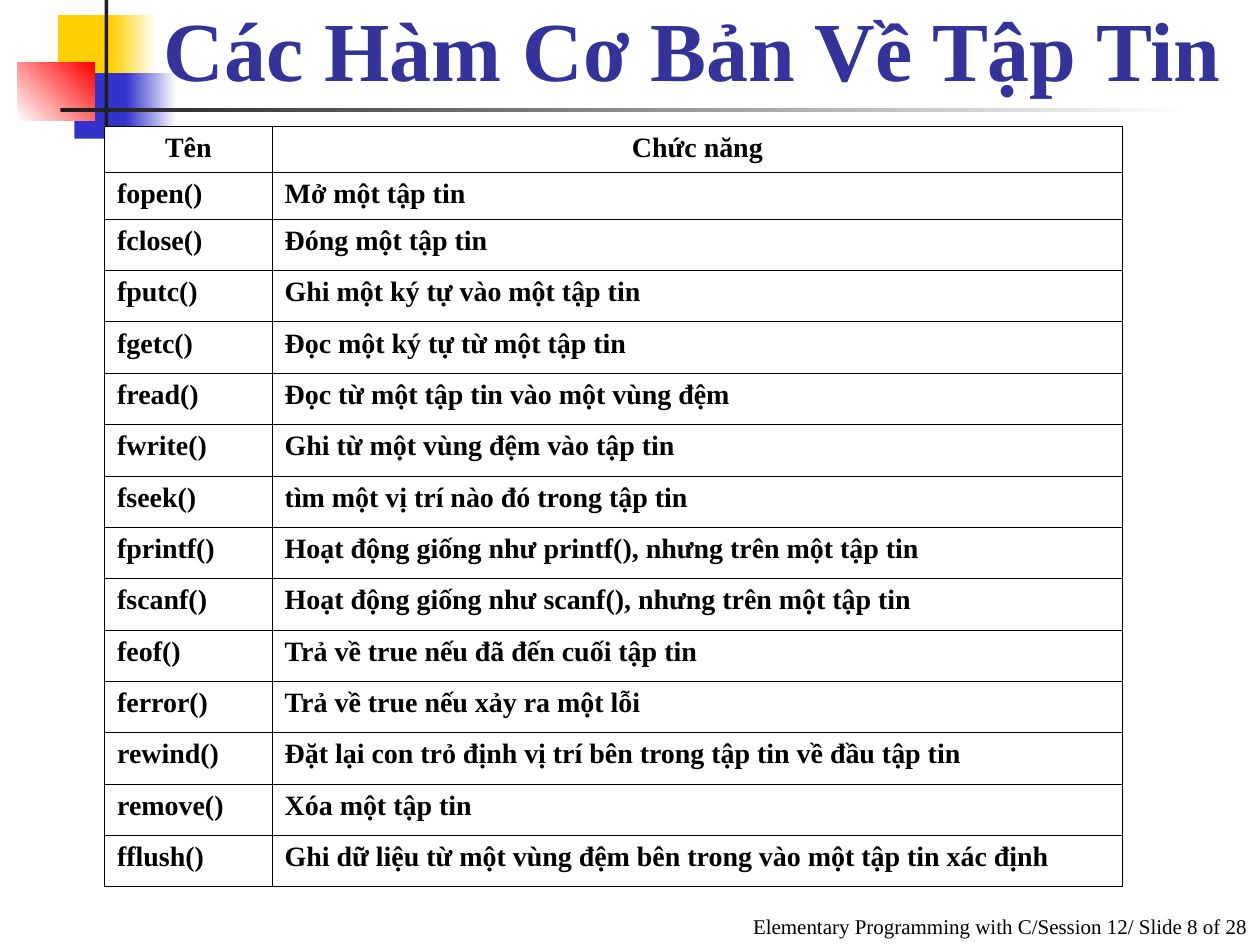
from lxml.etree import SubElement as Sub
from pptx import Presentation
from pptx.dml.color import RGBColor as RGB
from pptx.enum.shapes import MSO_SHAPE as Shape
from pptx.enum.text import MSO_ANCHOR as Anchor, PP_ALIGN as Align
from pptx.oxml.ns import qn
from pptx.util import Inches, Pt

FONT = "Times New Roman"
BLACK, WHITE = "000000", "FFFFFF"
GOLD, BLUE, RED, DARK = "FFCF01", "3333CC", "FF0000", "1C1C1C"

BLOCKS = [
    (0.32, 0.12, 0.48, 0.52, GOLD),
    (0.74, 0.12, 0.36, 0.52, GOLD, WHITE, 0),
    (0.45, 0.58, 0.46, 0.52, BLUE),
    (0.86, 0.58, 0.4, 0.52, BLUE, WHITE, 0),
    (0, 0.5, 0.61, 0.46, WHITE, RED, 45),
    (0.69, 0, 0.03, 1.15, DARK),
    (0.34, 0.86, 9, 0.03, DARK, WHITE, 0),
]

ROWS = [
    ("Tên", "Chức năng"),
    ("fopen()", "Mở một tập tin"),
    ("fclose()", "Đóng một tập tin"),
    ("fputc()", "Ghi một ký tự vào một tập tin"),
    ("fgetc()", "Đọc một ký tự từ một tập tin"),
    ("fread()", "Đọc từ một tập tin vào một vùng đệm"),
    ("fwrite()", "Ghi từ một vùng đệm vào tập tin"),
    ("fseek()", "tìm một vị trí nào đó trong tập tin"),
    ("fprintf()", "Hoạt động giống như printf(), nhưng trên một tập tin"),
    ("fscanf()", "Hoạt động giống như scanf(), nhưng trên một tập tin"),
    ("feof()", "Trả về true nếu đã đến cuối tập tin"),
    ("ferror()", "Trả về true nếu xảy ra một lỗi"),
    ("rewind()", "Đặt lại con trỏ định vị trí bên trong tập tin về đầu tập tin"),
    ("remove()", "Xóa một tập tin"),
    ("fflush()", "Ghi dữ liệu từ một vùng đệm bên trong vào một tập tin xác định"),
]


def paint(color, tone):
    color.rgb = RGB.from_string(tone)


def write(frame, text, size=16, tone=BLACK, bold=True, align=Align.LEFT):
    para = frame.paragraphs[0]
    para.alignment = align
    run = para.add_run()
    run.text = text
    font = run.font
    font.name, font.size, font.bold = FONT, Pt(size), bold
    paint(font.color, tone)


def add_block(slide, left, top, width, height, tone, end=None, angle=0):
    block = slide.shapes.add_shape(
        Shape.RECTANGLE, Inches(left), Inches(top), Inches(width), Inches(height))
    block.shadow.inherit = False
    block.line.fill.background()
    if end is None:
        block.fill.solid()
        paint(block.fill.fore_color, tone)
        return
    block.fill.gradient()
    block.fill.gradient_angle = angle
    for stop, hue, place in zip(block.fill.gradient_stops, (tone, end), (0, 1)):
        paint(stop.color, hue)
        stop.position = place


def add_art(slide, left, top):
    for x, y, *rest in BLOCKS:
        add_block(slide, left + x, top + y, *rest)


def add_label(slide, box, text, **style):
    frame = slide.shapes.add_textbox(*map(Inches, box)).text_frame
    frame.word_wrap = True
    frame.vertical_anchor = Anchor.BOTTOM
    write(frame, text, **style)


def add_edges(cell, tone=BLACK, width=0.45):
    props = cell._tc.get_or_add_tcPr()
    for side in ("lnL", "lnR", "lnT", "lnB"):
        line = Sub(props, qn(f"a:{side}"), w=str(Pt(width)))
        Sub(Sub(line, qn("a:solidFill")), qn("a:srgbClr"), val=tone)


def add_grid(slide, box, rows, name=1.33, head=0.37):
    left, top, width, height = box
    grid = slide.shapes.add_table(len(rows), 2, *map(Inches, box)).table
    grid.horz_banding = False
    grid.columns[0].width = Inches(name)
    grid.columns[1].width = Inches(width - name)
    body = (height - 2 * head) / (len(rows) - 2)
    for i, row in enumerate(rows):
        grid.rows[i].height = Inches(head if i < 2 else body)
        for j, text in enumerate(row):
            cell = grid.cell(i, j)
            add_edges(cell)
            cell.fill.solid()
            paint(cell.fill.fore_color, WHITE)
            write(cell.text_frame, text, align=Align.JUSTIFY if i else Align.CENTER)


def main():
    deck = Presentation()
    deck.slide_width, deck.slide_height = Inches(10), Inches(7.5)
    slide = deck.slides.add_slide(deck.slide_layouts[6])
    add_art(slide, 0.14, 0)
    add_label(slide, (3.92, 7, 6.08, 0.5),
              "Elementary Programming with C/Session 12/ Slide 8 of 28",
              size=12, bold=False, align=Align.RIGHT)
    add_label(slide, (1.2, 0, 8.8, 0.83), "Các Hàm Cơ Bản Về Tập Tin",
              size=48, tone="333399")
    add_grid(slide, (0.83, 1, 8.08, 6.04), ROWS)
    deck.save("out.pptx")


if __name__ == "__main__":
    main()
